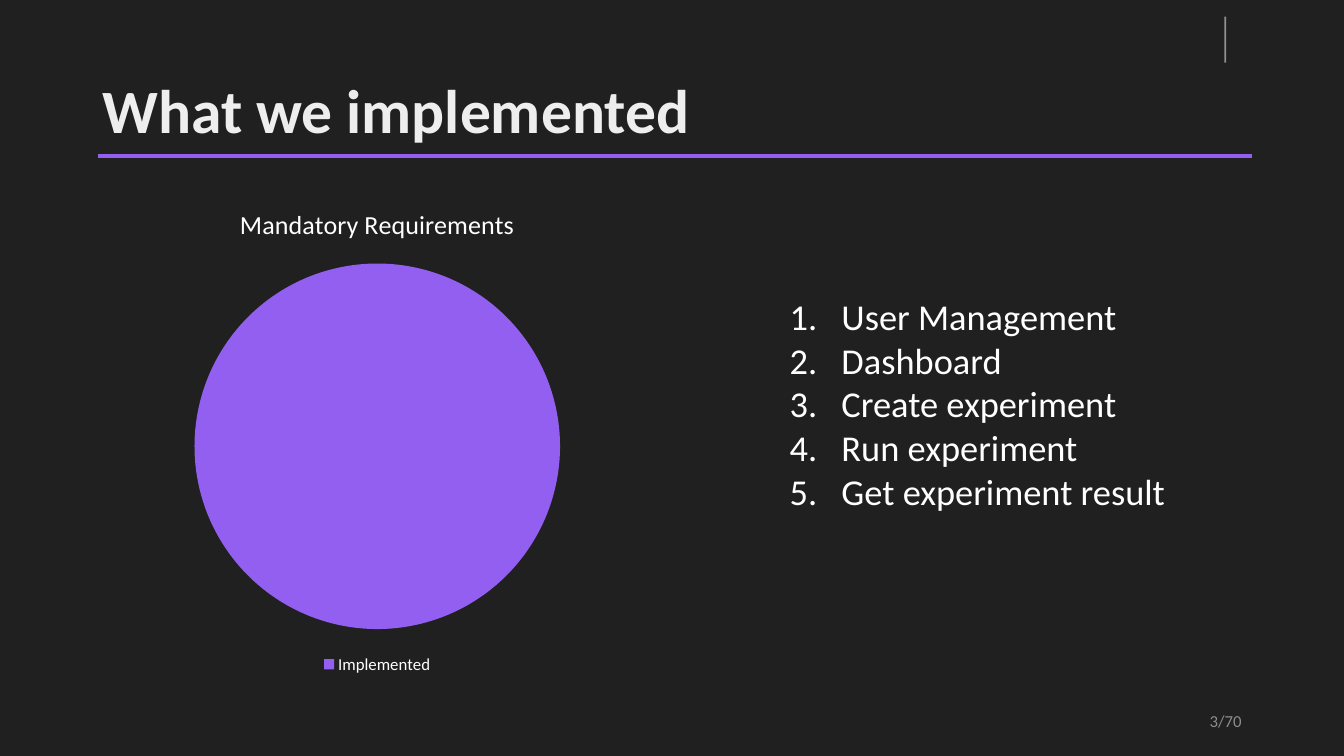
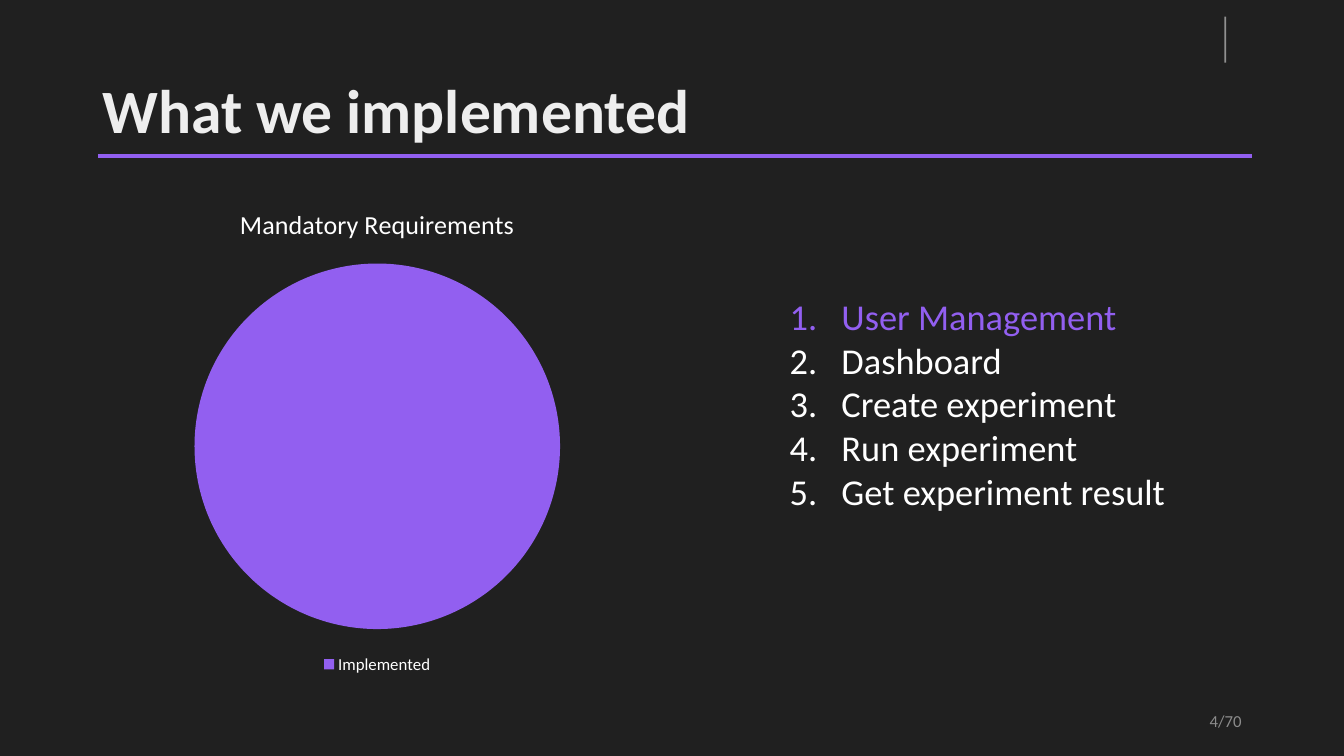
"""Build two slides showing the implemented mandatory requirements."""
from lxml import etree
from pptx import Presentation
from pptx.chart.data import CategoryChartData
from pptx.dml.color import RGBColor
from pptx.enum.chart import XL_CHART_TYPE as CHART, XL_LEGEND_POSITION as LEGEND
from pptx.enum.shapes import MSO_CONNECTOR as CONN, MSO_SHAPE as SHAPE
from pptx.enum.text import MSO_ANCHOR as ANCHOR, PP_ALIGN as ALIGN
from pptx.oxml.ns import qn
from pptx.util import Pt

TITLE = "What we implemented"
CHART_TITLE = "Mandatory Requirements"
SHARES = {"Implemented": 100}
FEATURES = ["User Management", "Dashboard", "Create experiment",
            "Run experiment", "Get experiment result"]
SLIDES = [{"page": "3/70", "active": None},
          {"page": "4/70", "active": "User Management"}]

FONT = "Calibri"
DARK = RGBColor(0x20, 0x20, 0x20)
VIOLET = RGBColor(0x92, 0x5F, 0xF0)
WHITE = RGBColor(0xFF, 0xFF, 0xFF)
PALE = RGBColor(0xEE, 0xEE, 0xEE)
BAR_GREY = RGBColor(0x90, 0x90, 0x90)
PAGE_GREY = RGBColor(0x8C, 0x8C, 0x8C)
NUMBER_INDENT = Pt(37)


def style(font, size, color, bold=False):
    font.name, font.size, font.bold = FONT, Pt(size), bold
    font.color.rgb = color


def add_run(p, text, size, color, bold=False):
    r = p.add_run()
    r.text = text
    style(r.font, size, color, bold)


def add_frame(slide):
    rule = slide.shapes.add_connector(CONN.STRAIGHT, Pt(70), Pt(111.5), Pt(894), Pt(111.5))
    rule.line.color.rgb = VIOLET
    rule.line.width = Pt(3)
    etree.SubElement(rule.element.spPr, qn("a:effectLst"))
    bar = slide.shapes.add_shape(SHAPE.RECTANGLE, Pt(874.6), Pt(12), Pt(1.3), Pt(32.7))
    bar.shadow.inherit = False
    bar.fill.solid()
    bar.fill.fore_color.rgb = BAR_GREY
    bar.line.fill.background()


def add_title(slide):
    sp = slide.shapes.title
    sp.left, sp.top, sp.width, sp.height = Pt(66), Pt(29), Pt(828), Pt(104)
    tf = sp.text_frame
    tf.vertical_anchor = ANCHOR.MIDDLE
    p = tf.paragraphs[0]
    p.alignment = ALIGN.LEFT
    p.line_spacing = 0.9
    add_run(p, TITLE, 44, PALE, bold=True)


def add_pie(slide):
    data = CategoryChartData()
    data.categories = list(SHARES)
    data.add_series(CHART_TITLE, list(SHARES.values()))
    chart = slide.shapes.add_chart(CHART.PIE, Pt(65.5), Pt(133), Pt(408), Pt(351.5), data).chart
    style(chart.font, 10, WHITE)
    chart.has_title = True
    add_run(chart.chart_title.text_frame.paragraphs[0], CHART_TITLE, 18.6, WHITE)
    chart.has_legend = True
    chart.legend.position = LEGEND.BOTTOM
    chart.legend.include_in_layout = False
    style(chart.legend.font, 12, WHITE)
    plot = chart.plots[0]
    plot.vary_by_categories = True
    fill = plot.series[0].points[0].format.fill
    fill.solid()
    fill.fore_color.rgb = VIOLET


def add_text_box(slide, left, top, width, height):
    tf = slide.shapes.add_textbox(Pt(left), Pt(top), Pt(width), Pt(height)).text_frame
    tf.word_wrap = True
    return tf


def add_features(slide, active):
    tf = add_text_box(slide, 557, 206.5, 310, 227.5)
    for i, feature in enumerate(FEATURES):
        p = tf.add_paragraph() if i else tf.paragraphs[0]
        pPr = p._p.get_or_add_pPr()
        pPr.set("marL", str(NUMBER_INDENT))
        pPr.set("indent", str(-NUMBER_INDENT))
        etree.SubElement(pPr, qn("a:buFont"), typeface=FONT)
        etree.SubElement(pPr, qn("a:buAutoNum"), type="arabicPeriod")
        add_run(p, feature, 26, VIOLET if feature == active else WHITE)


def add_page_number(slide, page):
    tf = add_text_box(slide, 678, 500.5, 216, 29)
    tf.vertical_anchor = ANCHOR.MIDDLE
    p = tf.paragraphs[0]
    p.alignment = ALIGN.RIGHT
    add_run(p, page, 12, PAGE_GREY)


def main():
    prs = Presentation()
    prs.slide_width, prs.slide_height = Pt(960), Pt(540)
    background = prs.slide_master.background.fill
    background.solid()
    background.fore_color.rgb = DARK
    for content in SLIDES:
        slide = prs.slides.add_slide(prs.slide_layouts[5])
        add_frame(slide)
        add_pie(slide)
        add_title(slide)
        add_features(slide, content["active"])
        add_page_number(slide, content["page"])
    prs.save("out.pptx")


if __name__ == "__main__":
    main()
